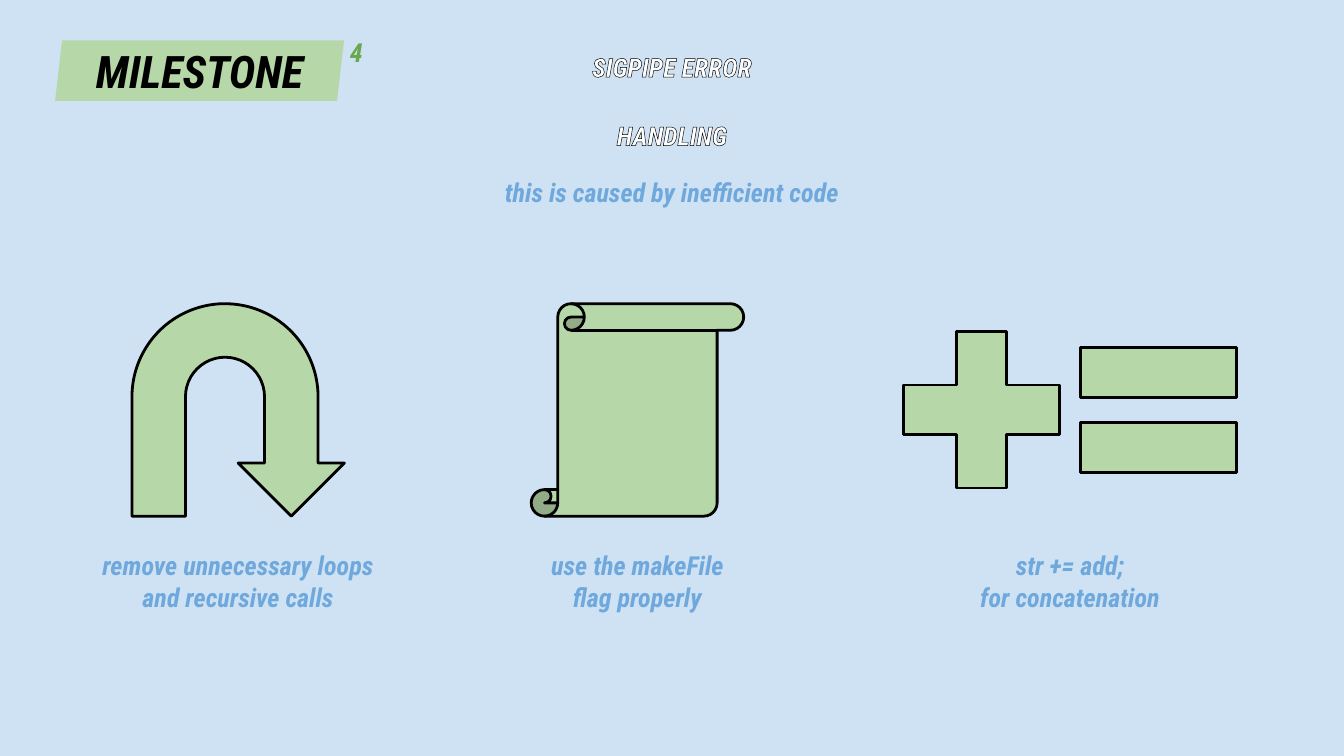
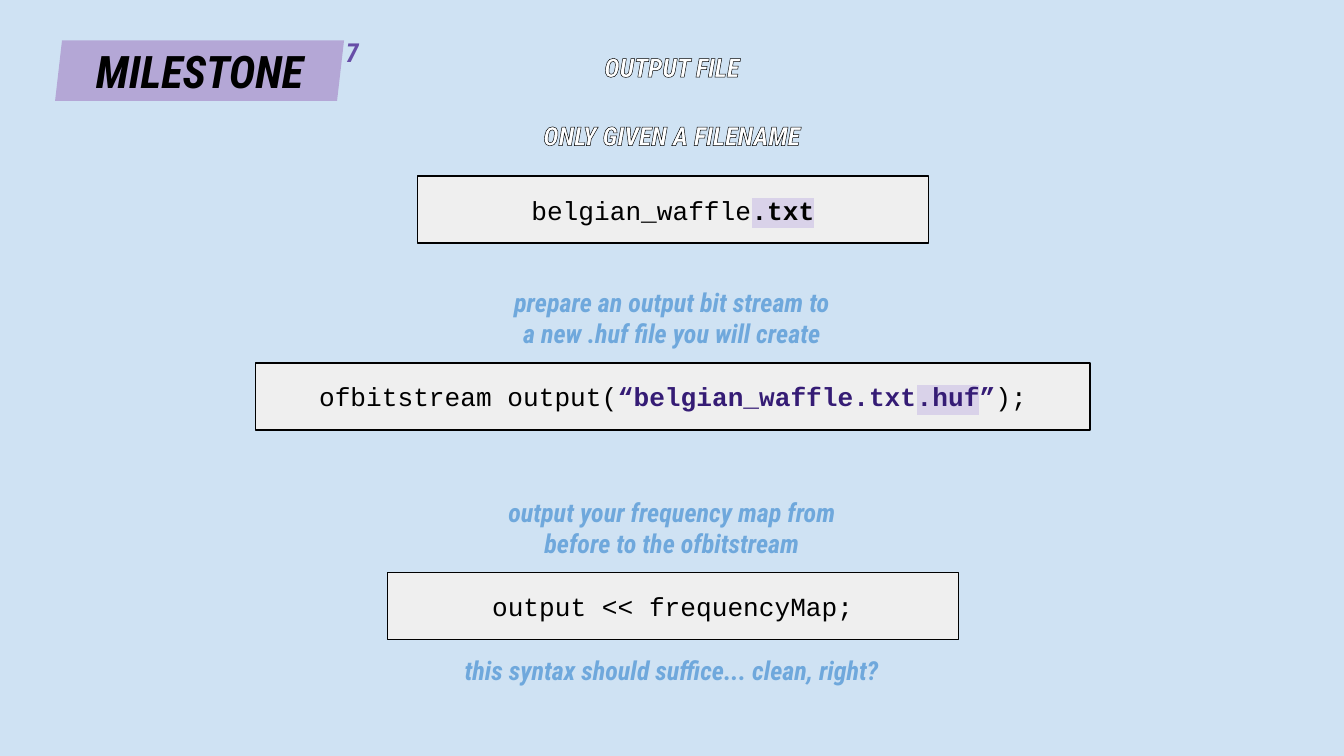
from lxml.etree import SubElement
from pptx import Presentation
from pptx.dml.color import RGBColor
from pptx.enum.shapes import MSO_SHAPE
from pptx.enum.text import MSO_ANCHOR, MSO_AUTO_SIZE, PP_ALIGN
from pptx.oxml.ns import qn
from pptx.util import Pt

COLORS = {
    "sky": "CFE2F3", "caption": "6FA8DC", "black": "000000", "white": "FFFFFF",
    "code": "EFEFEF", "lilac": "D9D2E9", "indigo": "351C75",
    "green": "B6D7A8", "dark green": "6AA84F",
    "purple": "B4A7D6", "dark purple": "674EA7",
}
HEAD_FONT, CODE_FONT = "Roboto Condensed", "Courier New"
MIDDLE = 360
ICON, ICON_TOP, PAIR_STEP = 113.8, 162.7, 95
ADVICE_TOP = 287.3
ONE_LINE, TWO_LINES, CODE_HEIGHT = 31.7, 48.2, 36

# Badge colour, number, number colour, number box width, (heading, box width) twice
ERROR_HEAD = ("green", "4", "dark green", 31.7,
              ("SIGPIPE ERROR", 230.4), ("HANDLING", 105.1))
OUTPUT_HEAD = ("purple", "7", "dark purple", 27.4,
               ("OUTPUT FILE", 199.4), ("ONLY GIVEN A FILENAME", 249.8))

# Caption, box width, centre, icons with their adjustments
ADVICE = [
    ("remove unnecessary loops and recursive calls", 170.6, 127.6,
     [(MSO_SHAPE.U_TURN_ARROW, (0.252, 0.25, 0.25, 0.438, 1))]),
    ("use the makeFile flag properly", 118.8, 341.5,
     [(MSO_SHAPE.VERTICAL_SCROLL, (0.125,))]),
    ("str += add;\nfor concatenation", 170.6, 573.3,
     [(MSO_SHAPE.MATH_PLUS, (0.235,)), (MSO_SHAPE.MATH_EQUAL, (0.235, 0.118))]),
]

# Top, width, runs of (text, colour, bold, highlight)
CODE = [
    (94.3, 273.6, [("belgian_waffle", "black", False, None),
                   (".txt", "black", True, "lilac")]),
    (194.4, 447.1, [("ofbitstream output(", "black", False, None),
                    ("“belgian_waffle.txt", "indigo", True, None),
                    (".huf", "indigo", True, "lilac"),
                    ("”", "indigo", True, None),
                    (");", "black", False, None)]),
    (306.7, 306, [("output << frequencyMap;", "black", False, None)]),
]
# Top, width, height, text
CODE_CAPTIONS = [
    (146.2, 190.1, TWO_LINES,
     "prepare an output bit stream to a new .huf file you will create"),
    (258.5, 190.1, TWO_LINES,
     "output your frequency map from before to the ofbitstream"),
    (343.4, 278.6, ONE_LINE, "this syntax should suffice... clean, right?"),
]


def rgb(name):
    return RGBColor.from_string(COLORS[name])


def style(r, color, size=14, font=HEAD_FONT, bold=True, italic=True):
    f = r.font
    f.size, f.name, f.bold, f.italic = Pt(size), font, bold, italic
    if color:
        f.fill.solid()
        f.fill.fore_color.rgb = rgb(color)
    else:
        f.fill.background()


def outline(r, color, width):
    rpr = r.font._element
    ln = SubElement(rpr, qn("a:ln"), w=str(int(Pt(width))))
    fill = SubElement(ln, qn("a:solidFill"))
    SubElement(fill, qn("a:srgbClr"), val=COLORS[color])
    rpr.insert(0, ln)


def highlight(r, color):
    rpr = r.font._element
    mark = SubElement(rpr, qn("a:highlight"))
    SubElement(mark, qn("a:srgbClr"), val=COLORS[color])
    rpr.find(qn("a:solidFill")).addnext(mark)


def set_insets(tf, inset):
    tf.margin_left = tf.margin_right = tf.margin_top = tf.margin_bottom = Pt(inset)


def add_text(s, text, center, top, width, height, color):
    """Add centred text around a middle line and return its frame."""
    tf = s.shapes.add_textbox(Pt(center - width / 2), Pt(top),
                              Pt(width), Pt(height)).text_frame
    tf.word_wrap = True
    tf.text = text
    for p in tf.paragraphs:
        p.alignment = PP_ALIGN.CENTER
        style(p.runs[0], color)
    return tf


def add_outlined(s, text, center, top, width, height, fill, line, weight):
    tf = add_text(s, text, center, top, width, height, fill)
    outline(tf.paragraphs[0].runs[0], line, weight)


def add_caption(s, text, center, top, width, height):
    tf = add_text(s, text, center, top, width, height, "caption")
    set_insets(tf, 7.2)
    tf.auto_size = MSO_AUTO_SIZE.SHAPE_TO_FIT_TEXT


def add_shape(s, kind, left, top, width, height, fill, line=None, adjust=()):
    """Add a flat shape; line is its black border in points."""
    sp = s.shapes.add_shape(kind, Pt(left), Pt(top), Pt(width), Pt(height))
    sp.shadow.inherit = False
    sp.fill.solid()
    sp.fill.fore_color.rgb = rgb(fill)
    if line:
        sp.line.color.rgb = rgb("black")
        sp.line.width = Pt(line)
    else:
        sp.line.fill.background()
    for i, value in enumerate(adjust):
        sp.adjustments[i] = value
    tf = sp.text_frame
    set_insets(tf, 7.2)
    tf.vertical_anchor = MSO_ANCHOR.MIDDLE
    tf.paragraphs[0].alignment = PP_ALIGN.CENTER
    return sp


def add_milestone_slide(prs, badge, number, number_color, number_width, first, second):
    """Add a slide with the badge, its number and the two heading lines."""
    s = prs.slides.add_slide(prs.slide_layouts[6])
    s.background.fill.solid()
    s.background.fill.fore_color.rgb = rgb("sky")
    sp = add_shape(s, MSO_SHAPE.PARALLELOGRAM, 29.5, 21.6, 154.8, 32.4,
                   badge, adjust=(0.115,))
    r = sp.text_frame.paragraphs[0].add_run()
    r.text = "MILESTONE"
    style(r, "black", 24)
    add_outlined(s, number, 175 + number_width / 2, 15.8, number_width, 44.6,
                 None, number_color, 1.5)
    for (text, width), top, height, weight in ((first, 23.8, 28.8, 1.5),
                                               (second, 60.5, 18.7, 0.75)):
        add_outlined(s, text, MIDDLE, top, width, height, "white", "black", weight)
    return s


def build_error_slide(prs):
    s = add_milestone_slide(prs, *ERROR_HEAD)
    add_caption(s, "this is caused by inefficient code", MIDDLE, 87.1, 272.2, ONE_LINE)
    for text, width, center, icons in ADVICE:
        left = center - (ICON + PAIR_STEP * (len(icons) - 1)) / 2
        for i, (kind, adjust) in enumerate(icons):
            add_shape(s, kind, left + i * PAIR_STEP, ICON_TOP, ICON, ICON,
                      "green", 1.5, adjust)
        add_caption(s, text, center, ADVICE_TOP, width, TWO_LINES)


def build_output_slide(prs):
    s = add_milestone_slide(prs, *OUTPUT_HEAD)
    for top, width, runs in CODE:
        sp = add_shape(s, MSO_SHAPE.RECTANGLE, MIDDLE + 0.5 - width / 2, top,
                       width, CODE_HEIGHT, "code", 0.75)
        for text, color, bold, mark in runs:
            r = sp.text_frame.paragraphs[0].add_run()
            r.text = text
            style(r, color, font=CODE_FONT, bold=bold, italic=False)
            if mark:
                highlight(r, mark)
    for top, width, height, text in CODE_CAPTIONS:
        add_caption(s, text, MIDDLE, top, width, height)


def main():
    prs = Presentation()
    prs.slide_width, prs.slide_height = Pt(720), Pt(405)
    build_error_slide(prs)
    build_output_slide(prs)
    prs.save("out.pptx")


if __name__ == "__main__":
    main()
